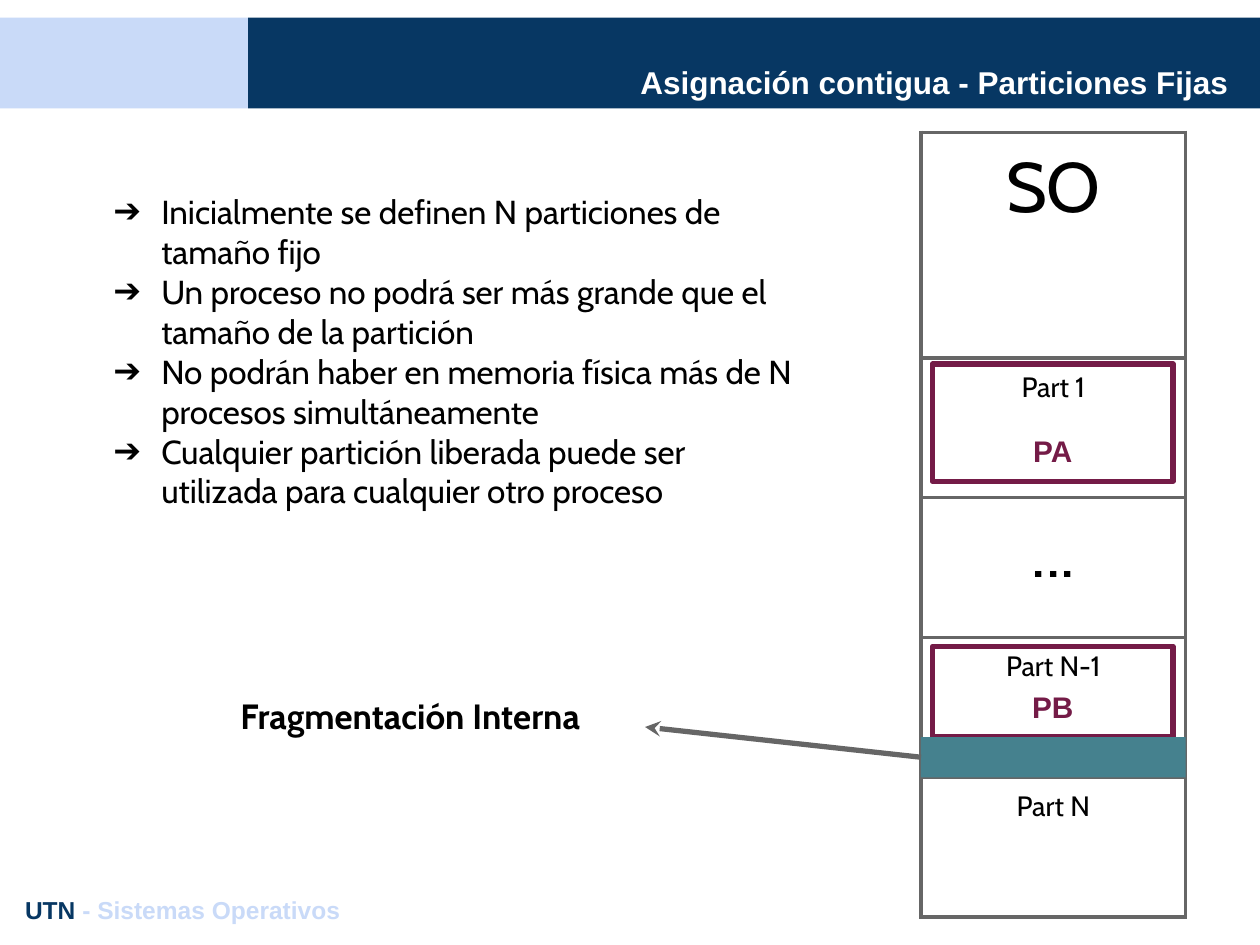
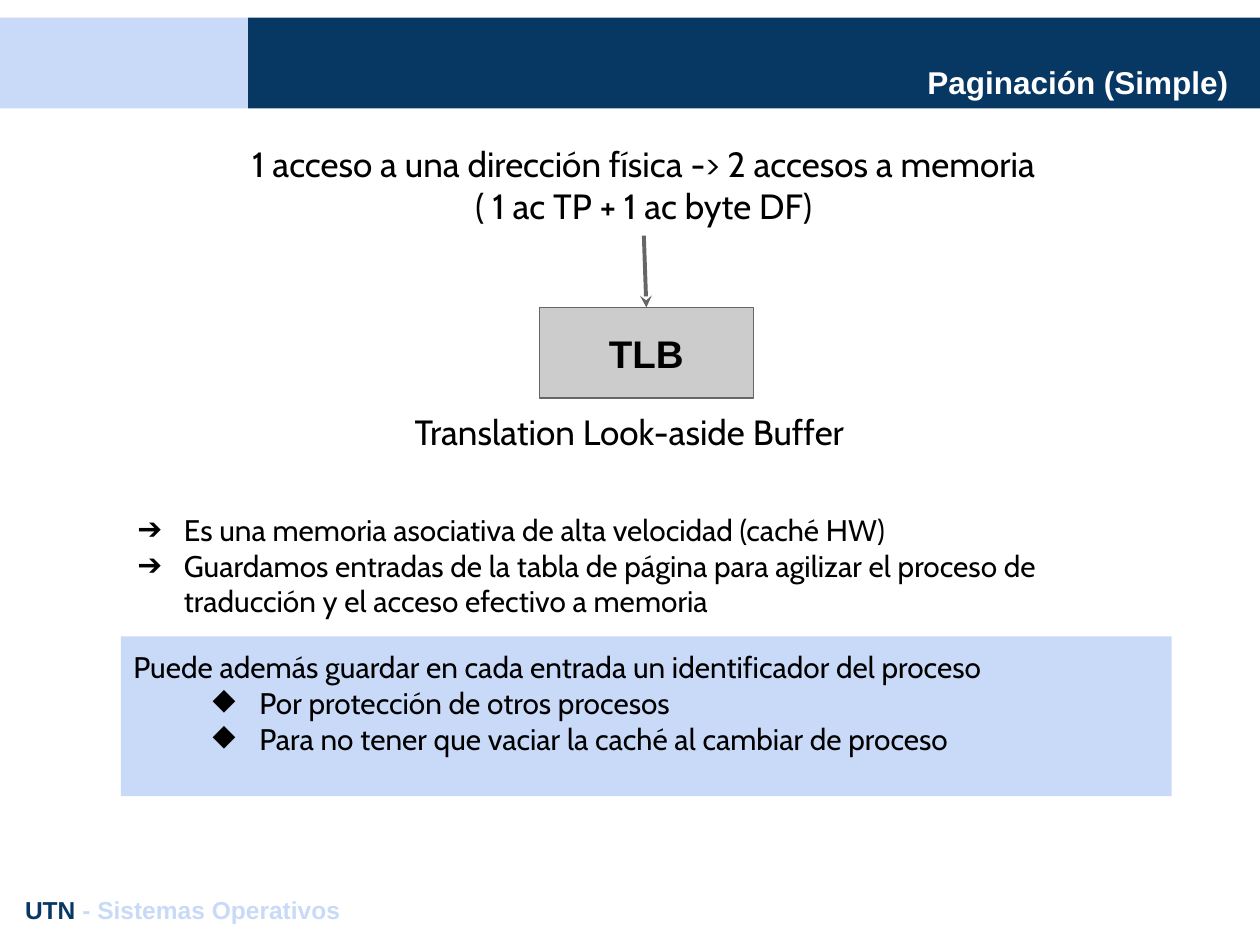
import dataclasses
import pptx
import pptx.util
import pptx.dml.color
import pptx.oxml
import pptx.oxml.ns
import pptx.enum.shapes
import pptx.enum.text

FIXED_PARTITIONS = {
    "title": "Asignación contigua - Particiones Fijas",
    "points": [
        "Inicialmente se definen N particiones de tamaño fijo",
        "Un proceso no podrá ser más grande que el tamaño de la partición",
        "No podrán haber en memoria física más de N procesos simultáneamente",
        "Cualquier partición liberada puede ser utilizada para cualquier otro proceso",
    ],
    "memory": [("SO", 40), ("Part 1", 16), ("...", 40), ("Part N-1", 16), ("Part N", 16)],
    "processes": ["PA", "PB"],
    "waste": "Fragmentación Interna",
}
PAGING = {
    "title": "Paginación (Simple)",
    "cost": ["1 acceso a una dirección física -> 2 accesos a memoria",
             "( 1 ac TP + 1 ac byte DF)"],
    "buffer": "TLB",
    "buffer_name": "Translation Look-aside Buffer",
    "points": [
        "Es una memoria asociativa de alta velocidad (caché HW)",
        "Guardamos entradas de la tabla de página para agilizar el proceso de "
        "traducción y el acceso efectivo a memoria",
    ],
    "extra": "Puede además guardar en cada entrada un identificador del proceso",
    "reasons": ["Por protección de otros procesos",
                "Para no tener que vaciar la caché al cambiar de proceso"],
}
FOOTER = ["UTN ", "- Sistemas Operativos"]


@dataclasses.dataclass(frozen=True)
class Theme:
    navy: str = "073763"
    pale: str = "C9DAF8"
    white: str = "FFFFFF"
    black: str = "000000"
    gray: str = "666666"
    silver: str = "CCCCCC"
    plum: str = "741B47"
    teal: str = "45818E"
    heading: str = "Arial"
    body: str = "Cabin"
    title_size: int = 18
    list_size: int = 19
    small_size: int = 17
    lead_size: int = 20
    buffer_size: int = 22
    footer_size: int = 14


THEME = Theme()
WIDTH, HEIGHT = 10, 7.5
INSET = 0.1
BAND_TOP, BAND_HEIGHT, BAND_SPLIT = 0.14, 0.72, 1.97

MEMORY_LEFT, MEMORY_TOP, MEMORY_WIDTH = 7.31, 1.05, 2.1
MEMORY_ROWS = [1.79] + [1.11] * 4
WASTE_HEIGHT = 0.32

inches = pptx.util.Inches
qn = pptx.oxml.ns.qn
ALIGN = pptx.enum.text.PP_ALIGN
ANCHOR = pptx.enum.text.MSO_ANCHOR


def rgb(color):
    return pptx.dml.color.RGBColor.from_string(color)


def append_xml(parent, tag, **attributes):
    child = parent.makeelement(qn(tag), attributes)
    parent.append(child)
    return child


def style_runs(paragraph, size, color=THEME.black, font=THEME.body, bold=False):
    for run in paragraph.runs:
        run.font.size = pptx.util.Pt(size)
        run.font.color.rgb = rgb(color)
        run.font.name = font
        run.font.bold = bold


def add_bullet(paragraph, mark, left, hanging):
    properties = paragraph._p.get_or_add_pPr()
    properties.set("marL", str(inches(left)))
    properties.set("indent", str(-inches(hanging)))
    color = append_xml(properties, "a:buClr")
    append_xml(color, "a:srgbClr", val=THEME.black)
    append_xml(properties, "a:buChar", char=mark)


def write(shape, lines, size, align=ALIGN.LEFT, anchor=ANCHOR.TOP, bullet=None, **style):
    frame = shape.text_frame
    frame.text = "\n".join(lines)
    frame.word_wrap = True
    frame.auto_size = pptx.enum.text.MSO_AUTO_SIZE.NONE
    frame.vertical_anchor = anchor
    frame.margin_left = frame.margin_right = inches(INSET)
    frame.margin_top = frame.margin_bottom = inches(INSET)
    for paragraph in frame.paragraphs:
        if bullet:
            add_bullet(paragraph, *bullet)
        paragraph.alignment = align
        paragraph.space_before = pptx.util.Pt(0)
        style_runs(paragraph, size, **style)
    return frame


def place(shape, left, top, width, height):
    shape.left, shape.top = inches(left), inches(top)
    shape.width, shape.height = inches(width), inches(height)


def add_box(slide, left, top, width, height, fill=None, line=None, line_width=0.75):
    box = slide.shapes.add_shape(pptx.enum.shapes.MSO_SHAPE.RECTANGLE,
                                 *map(inches, (left, top, width, height)))
    box.shadow.inherit = False
    if fill:
        box.fill.solid()
        box.fill.fore_color.rgb = rgb(fill)
    else:
        box.fill.background()
    if line:
        box.line.color.rgb = rgb(line)
        box.line.width = pptx.util.Pt(line_width)
    else:
        box.line.fill.background()
    return box


def add_text(slide, place_at, lines, size, **style):
    return write(slide.shapes.add_textbox(*map(inches, place_at)), lines, size, **style)


def add_arrow(slide, start, end, width):
    arrow = slide.shapes.add_connector(pptx.enum.shapes.MSO_CONNECTOR.STRAIGHT,
                                       *map(inches, start + end))
    arrow.line.color.rgb = rgb(THEME.gray)
    arrow.line.width = pptx.util.Pt(width)
    properties = arrow.element.spPr
    append_xml(properties.find(qn("a:ln")), "a:tailEnd", type="stealth")
    append_xml(properties, "a:effectLst")


def add_slide(deck, content, list_place, list_size, hanging):
    """Add a slide with the shared bands, title and footer, and its arrow list."""
    slide = deck.slides.add_slide(deck.slide_layouts[1])
    title, points = slide.placeholders
    for left, right, color in [(0, BAND_SPLIT, THEME.pale), (BAND_SPLIT, WIDTH, THEME.navy)]:
        band = add_box(slide, left, BAND_TOP, right - left, BAND_HEIGHT, color)
        title.element.addprevious(band.element)
    place(title, 1.35, 0.4, 8.5, 0.5)
    write(title, [content["title"]], THEME.title_size, ALIGN.RIGHT, ANCHOR.BOTTOM,
          color=THEME.white, font=THEME.heading, bold=True)
    place(points, *list_place)
    write(points, content["points"], list_size, bullet=("➔", 0.5, hanging))

    footer = add_text(slide, (INSET, 7, 9.81, 0.44), FOOTER[:1], THEME.footer_size,
                      color=THEME.navy, font=THEME.heading, bold=True).paragraphs[0]
    footer.add_run().text = FOOTER[1]
    style_runs(footer, THEME.footer_size, THEME.pale, THEME.heading, True)
    footer.runs[0].font.color.rgb = rgb(THEME.navy)
    return slide


def add_cell_borders(cell):
    properties = cell._tc.get_or_add_tcPr()
    for position, side in enumerate(("a:lnL", "a:lnR", "a:lnT", "a:lnB")):
        border = properties.makeelement(qn(side), {"w": str(pptx.util.Pt(2.25))})
        append_xml(append_xml(border, "a:solidFill"), "a:srgbClr", val=THEME.gray)
        properties.insert(position, border)


def add_memory(slide, partitions):
    table = slide.shapes.add_table(
        len(partitions), 1,
        *map(inches, (MEMORY_LEFT, MEMORY_TOP, MEMORY_WIDTH, sum(MEMORY_ROWS)))).table
    table.first_row = table.horz_banding = False
    for row, height, (label, size) in zip(table.rows, MEMORY_ROWS, partitions):
        row.height = inches(height)
        cell = row.cells[0]
        cell.text = label
        cell.margin_left = cell.margin_right = inches(INSET)
        cell.margin_top = cell.margin_bottom = inches(INSET)
        cell.fill.background()
        add_cell_borders(cell)
        paragraph = cell.text_frame.paragraphs[0]
        paragraph.alignment = ALIGN.CENTER
        style_runs(paragraph, size)


def build_fixed_partitions(deck):
    content = FIXED_PARTITIONS
    slide = add_slide(deck, content, (0.68, 1.42, 5.8, 3.02), THEME.list_size, 0.38)
    add_memory(slide, content["memory"])

    first_top = MEMORY_TOP + MEMORY_ROWS[0]
    waste_top = MEMORY_TOP + sum(MEMORY_ROWS[:4]) - WASTE_HEIGHT
    process_top = MEMORY_TOP + sum(MEMORY_ROWS[:3]) + 0.07
    spans = [(first_top + 0.05, 0.93), (process_top, waste_top - process_top)]
    for process, (top, height) in zip(content["processes"], spans):
        box = add_box(slide, MEMORY_LEFT + 0.09, top, 1.91, height, line=THEME.plum, line_width=3)
        write(box, [process], THEME.small_size, ALIGN.CENTER, ANCHOR.BOTTOM,
              color=THEME.plum, font=THEME.heading, bold=True)

    label_left, label_top, label_width, label_height = 1.81, 5.41, 3.31, 0.72
    add_text(slide, (label_left, label_top, label_width, label_height), [content["waste"]],
             THEME.lead_size, bold=True)
    add_box(slide, MEMORY_LEFT, waste_top, MEMORY_WIDTH, WASTE_HEIGHT, THEME.teal)
    add_arrow(slide, (MEMORY_LEFT, waste_top + WASTE_HEIGHT / 2),
              (label_left + label_width, label_top + label_height / 2), 3)


def build_paging(deck):
    content = PAGING
    slide = add_slide(deck, content, (0.86, 3.96, 8.34, 1.27), THEME.small_size, 0.37)
    cost_left, cost_top, cost_width, cost_height = 0.46, 1.03, 9.3, 0.84
    add_text(slide, (cost_left, cost_top, cost_width, cost_height), content["cost"],
             THEME.lead_size, align=ALIGN.CENTER)

    buffer_left, buffer_top, buffer_width, buffer_height = 4.28, 2.44, 1.7, 0.72
    add_text(slide, (2.31, buffer_top + buffer_height, 5.37, 0.72), [content["buffer_name"]],
             THEME.lead_size, align=ALIGN.CENTER)
    box = add_box(slide, buffer_left, buffer_top, buffer_width, buffer_height,
                  THEME.silver, THEME.gray)
    write(box, [content["buffer"]], THEME.buffer_size, ALIGN.CENTER, ANCHOR.MIDDLE,
          font=THEME.heading, bold=True)
    add_arrow(slide, (cost_left + cost_width / 2, cost_top + cost_height),
              (buffer_left + buffer_width / 2, buffer_top), 2.25)

    panel = add_box(slide, 0.96, 5.05, 8.34, 1.27, THEME.pale)
    frame = write(panel, [content["extra"], *content["reasons"]], THEME.small_size)
    for reason in frame.paragraphs[1:]:
        reason.level = 1
        add_bullet(reason, "◆", 1, 0.37)


def main():
    deck = pptx.Presentation()
    deck.slide_width, deck.slide_height = inches(WIDTH), inches(HEIGHT)
    build_fixed_partitions(deck)
    build_paging(deck)
    deck.save("out.pptx")


if __name__ == "__main__":
    main()
